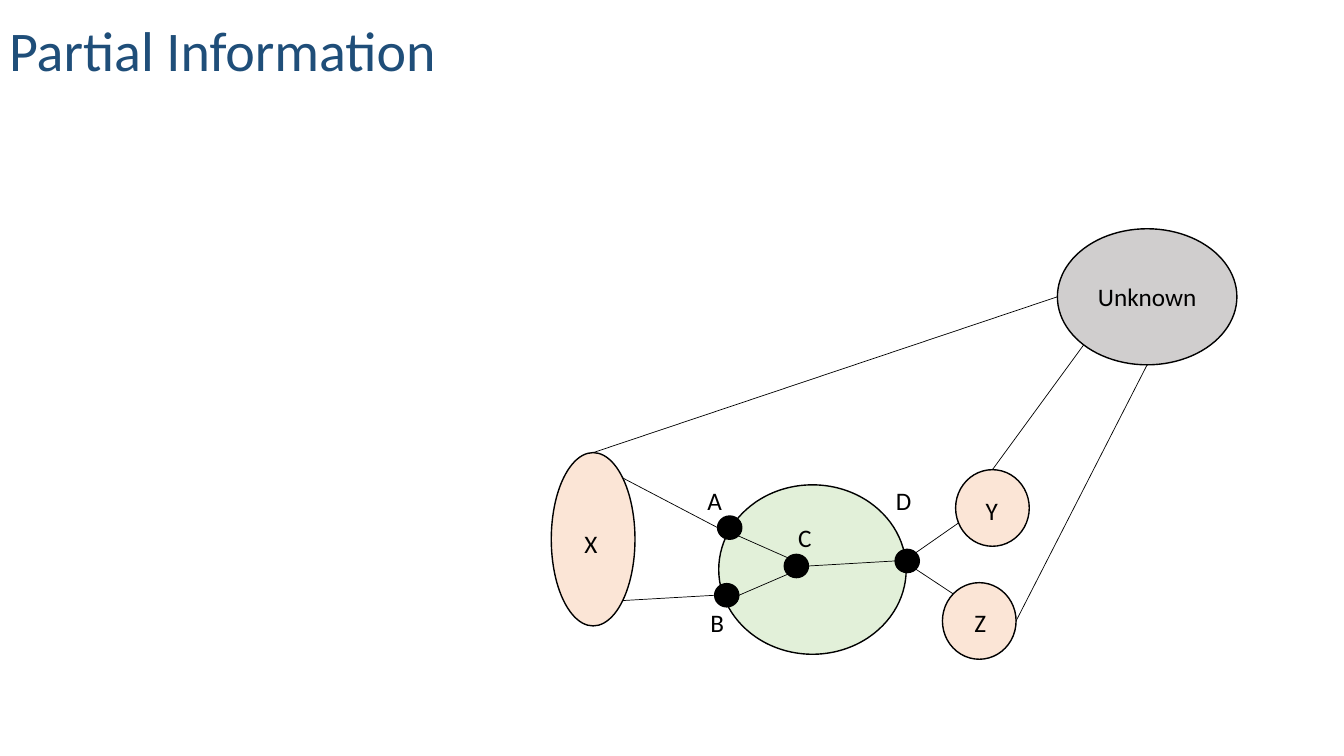
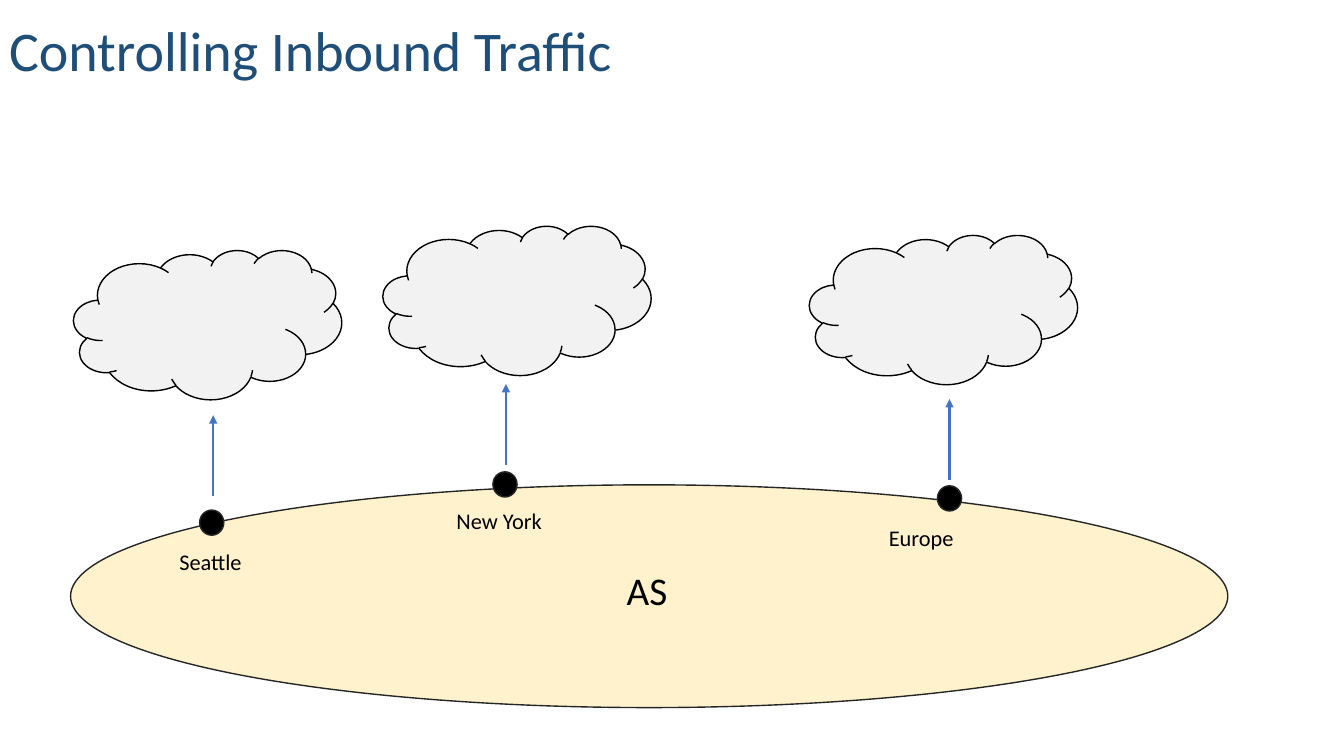
from dataclasses import dataclass
from math import cos, radians, sin

from lxml import etree
from pptx import Presentation
from pptx.dml.color import RGBColor
from pptx.enum.shapes import MSO_CONNECTOR, MSO_SHAPE
from pptx.enum.text import MSO_ANCHOR, MSO_AUTO_SIZE, PP_ALIGN
from pptx.oxml.ns import qn
from pptx.util import Pt

OVAL, CLOUD = MSO_SHAPE.OVAL, MSO_SHAPE.CLOUD
STRAIGHT = MSO_CONNECTOR.STRAIGHT
TOP, MIDDLE, BOTTOM = MSO_ANCHOR.TOP, MSO_ANCHOR.MIDDLE, MSO_ANCHOR.BOTTOM
LEFT, CENTER = PP_ALIGN.LEFT, PP_ALIGN.CENTER
FIXED = MSO_AUTO_SIZE.NONE


@dataclass(frozen=True)
class Theme:
    font: str = "Calibri"
    title: str = "1F4E79"
    ink: str = "000000"
    edge: str = "262626"
    green: str = "E2F0D9"
    peach: str = "FBE5D6"
    gray: str = "D0CECE"
    cream: str = "FFF2CC"
    mist: str = "F2F2F2"
    blue: str = "4472C4"
    head: int = 40
    big: int = 28
    body: int = 18
    small: int = 16


THEME = Theme()


def pts(*sizes):
    return [Pt(size) for size in sizes]


def write(frame, text, size, color=THEME.ink, align=LEFT, anchor=TOP, space=1.0):
    frame.text = text
    frame.auto_size = FIXED
    frame.vertical_anchor = anchor
    para = frame.paragraphs[0]
    para.alignment = align
    para.line_spacing = space
    para.space_before = Pt(0)
    font = para.runs[0].font
    font.name = THEME.font
    font.size = Pt(size)
    font.color.rgb = RGBColor.from_string(color)


def add_page(deck, text):
    page = deck.slides.add_slide(deck.slide_layouts[5])
    title = page.shapes.title
    title.left, title.top, title.width, title.height = pts(-0.7, -3.6, 473, 67)
    title.text_frame.word_wrap = True
    write(title.text_frame, text, THEME.head, THEME.title, anchor=BOTTOM, space=0.9)
    return page


def add_form(page, kind, box, fill, edge=THEME.ink):
    form = page.shapes.add_shape(kind, *pts(*box))
    form.shadow.inherit = False
    form.fill.solid()
    form.fill.fore_color.rgb = RGBColor.from_string(fill)
    form.line.color.rgb = RGBColor.from_string(edge)
    form.line.width = Pt(1)
    return form


def add_label(page, text, box, size, wrap=True, space=1.0):
    label = page.shapes.add_textbox(*pts(*box))
    label.text_frame.word_wrap = wrap
    write(label.text_frame, text, size, space=space)


def add_line(page, start, end, color=THEME.ink, width=0.5, arrow=False):
    line = page.shapes.add_connector(STRAIGHT, *pts(*start, *end))
    line.line.color.rgb = RGBColor.from_string(color)
    line.line.width = Pt(width)
    props = line._element.spPr
    if arrow:
        etree.SubElement(props.find(qn("a:ln")), qn("a:tailEnd"), type="triangle")
    etree.SubElement(props, qn("a:effectLst"))


def rim(box, angle):
    left, top, width, height = box
    turn = radians(angle)
    return left + width / 2 * (1 + cos(turn)), top + height / 2 * (1 + sin(turn))


def draw_graph(deck):
    page = add_page(deck, "Partial Information")
    add_form(page, OVAL, (513.4, 346.3, 133.9, 121), THEME.green)

    dot, disc = (17.3, 16.6), (52.6, 54.7)
    nodes = {
        "A": ((512.6, 368.6, *dot), THEME.ink),
        "B": ((510.5, 416.9, *dot), THEME.ink),
        "C": ((560.2, 396, *dot), THEME.ink),
        "D": ((639.4, 392.4, *dot), THEME.ink),
        "X": ((393.8, 323.3, 59.8, 123.8), THEME.peach),
        "Y": ((682.6, 335.5, *disc), THEME.peach),
        "Z": ((673.2, 416.2, *disc), THEME.peach),
        "Unknown": ((755.3, 163.4, 128.2, 97.2), THEME.gray),
    }
    for name, (box, fill) in nodes.items():
        form = add_form(page, OVAL, box, fill)
        if name == "Unknown":
            write(form.text_frame, name, THEME.body, align=CENTER, anchor=MIDDLE)

    links = [
        ("A", 180, "X", 315), ("B", 180, "X", 45),
        ("C", 135, "B", 0), ("C", 225, "A", 45), ("D", 180, "C", 0),
        ("Y", 157, "D", 315), ("Z", 225, "D", 45),
        ("Unknown", 180, "X", 270), ("Unknown", 135, "Y", 270),
        ("Unknown", 90, "Z", 0),
    ]
    for start, out, end, into in links:
        add_line(page, rim(nodes[start][0], out), rim(nodes[end][0], into))

    labels = [
        ("A", 498.2, 343.4, 20.2), ("B", 500.4, 430.6, 20.2),
        ("C", 563, 369.4, 19.4), ("D", 632.9, 343.4, 20.9),
        ("X", 410.4, 373.7, 23.8), ("Y", 697, 350.6, 23.8),
        ("Z", 689, 430.6, 23),
    ]
    for text, left, top, width in labels:
        add_label(page, text, (left, top, width, 28), THEME.body, wrap=False)


def draw_map(deck):
    page = add_page(deck, "Controlling Inbound Traffic")
    add_form(page, OVAL, (50.4, 346.3, 826.6, 159.1), THEME.cream, THEME.edge)
    add_label(page, "AS", (440.6, 407.5, 45.4, 36.7), THEME.big, space=0.8)

    sites = [
        ("Seattle", (142.6, 364.3), (121, 391.7, 60), (152.3, 354.2), (52.6, 178.6)),
        ("New York", (352.1, 337), (319, 362.2, 83.5), (361.4, 331.9), (273.6, 161.3)),
        ("Europe", (669.6, 347), (627.8, 374.4, 83.5), (678.2, 342.7), (578.2, 167.8)),
    ]
    for name, dot, label, (across, down), cloud in sites:
        add_form(page, CLOUD, (*cloud, 191.5, 106.6), THEME.mist)
        add_form(page, OVAL, (*dot, 17.3, 18), THEME.ink, THEME.edge)
        add_label(page, name, (*label, 23.8), THEME.small, space=0.8)
        add_line(page, (across, down), (across, down - 57.6), THEME.blue, 1.5, True)


def main():
    deck = Presentation()
    deck.slide_width, deck.slide_height = pts(960, 540)
    draw_graph(deck)
    draw_map(deck)
    deck.save("out.pptx")


if __name__ == "__main__":
    main()
